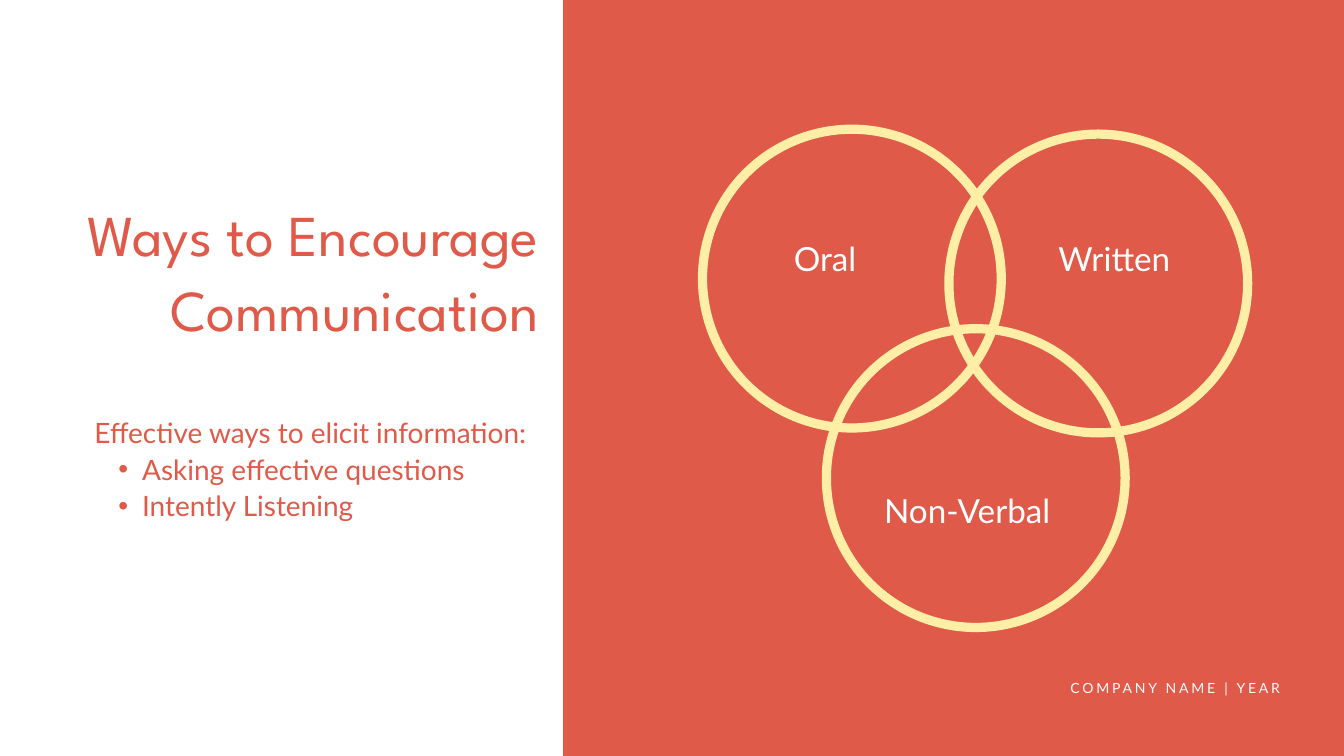
import pptx
import pptx.dml.color
import pptx.enum.shapes
import pptx.enum.text
import pptx.oxml.ns
import pptx.util
import lxml.etree

PX = 9525
COLORS = {"coral": "DF5A49", "white": "FFFFFF", "cream": "FFEEA5", "pale": "FAFAFA"}
ALIGN = pptx.enum.text.PP_ALIGN


def rgb(name):
    return pptx.dml.color.RGBColor.from_string(COLORS[name])


def write_text(shape, box, lines, font, size, spacing, color, alignment, bullets_from=None, tracking=None):
    for name, value in zip(("left", "top", "width", "height"), box):
        setattr(shape, name, value * PX)
    frame = shape.text_frame
    frame_format = {
        "margin_left": 0, "margin_top": 0, "margin_right": 0, "margin_bottom": 0,
        "word_wrap": True,
        "auto_size": pptx.enum.text.MSO_AUTO_SIZE.NONE,
        "vertical_anchor": pptx.enum.text.MSO_ANCHOR.TOP,
    }
    for name, value in frame_format.items():
        setattr(frame, name, value)
    for index, line in enumerate(lines):
        paragraph = frame.paragraphs[0] if index == 0 else frame.add_paragraph()
        paragraph.alignment = alignment
        paragraph.line_spacing = pptx.util.Pt(spacing)
        if bullets_from is not None and index >= bullets_from:
            paragraph.level = 1
            properties = paragraph._p.get_or_add_pPr()
            properties.set("marL", str(68 * PX))
            properties.set("indent", str(-34 * PX))
            bullet_font = lxml.etree.SubElement(properties, pptx.oxml.ns.qn("a:buFont"))
            bullet_font.set("typeface", "Arial")
            bullet = lxml.etree.SubElement(properties, pptx.oxml.ns.qn("a:buChar"))
            bullet.set("char", "•")
        run = paragraph.add_run()
        run.text = line
        for name, value in {"name": font, "size": pptx.util.Pt(size)}.items():
            setattr(run.font, name, value)
        run.font.color.rgb = rgb(color)
        if tracking:
            run._r.get_or_add_rPr().set("spc", str(tracking))


presentation = pptx.Presentation()
presentation.slide_width = 1920 * PX
presentation.slide_height = 1080 * PX
slide = presentation.slides.add_slide(presentation.slide_layouts[5])
slide.background.fill.solid()
slide.background.fill.fore_color.rgb = rgb("coral")
shapes = slide.shapes

panel = shapes.add_shape(pptx.enum.shapes.MSO_SHAPE.RECTANGLE, 0, 0, 804 * PX, 1080 * PX)
panel.shadow.inherit = False
panel.fill.solid()
panel.fill.fore_color.rgb = rgb("white")
panel.line.fill.background()

title = shapes.title
panel._element.addnext(title._element)
write_text(title, (50, 275, 720, 321), ["Ways to Encourage", "Communication"],
           "League Spartan", 62, 80.6, "coral", ALIGN.RIGHT)

advice = ["Effective ways to elicit information:", "Asking effective questions", "Intently Listening"]
write_text(shapes.add_textbox(0, 0, 0, 0), (135, 590, 720, 208), advice,
           "Lato", 30, 39, "coral", ALIGN.JUSTIFY, bullets_from=1)
write_text(shapes.add_textbox(0, 0, 0, 0), (855, 966, 974, 28), ["COMPANY NAME | YEAR"],
           "Lato", 15, 21, "pale", ALIGN.RIGHT, tracking=300)

RING = 440
for left, top in [(997, 178), (1349, 185), (1174, 463)]:
    ring = shapes.add_shape(pptx.enum.shapes.MSO_SHAPE.DONUT, left * PX, top * PX, RING * PX, RING * PX)
    ring.adjustments[0] = 0.03
    ring.shadow.inherit = False
    ring.fill.solid()
    ring.fill.fore_color.rgb = rgb("cream")
    ring.line.fill.background()

for label, left, top in [("Oral", 1134, 336), ("Non-Verbal", 1263, 695), ("Written", 1512, 336)]:
    write_text(shapes.add_textbox(0, 0, 0, 0), (left, top, 259, 62), [label],
               "Lato", 35.6, 46.3, "white", ALIGN.JUSTIFY)

presentation.save("out.pptx")
